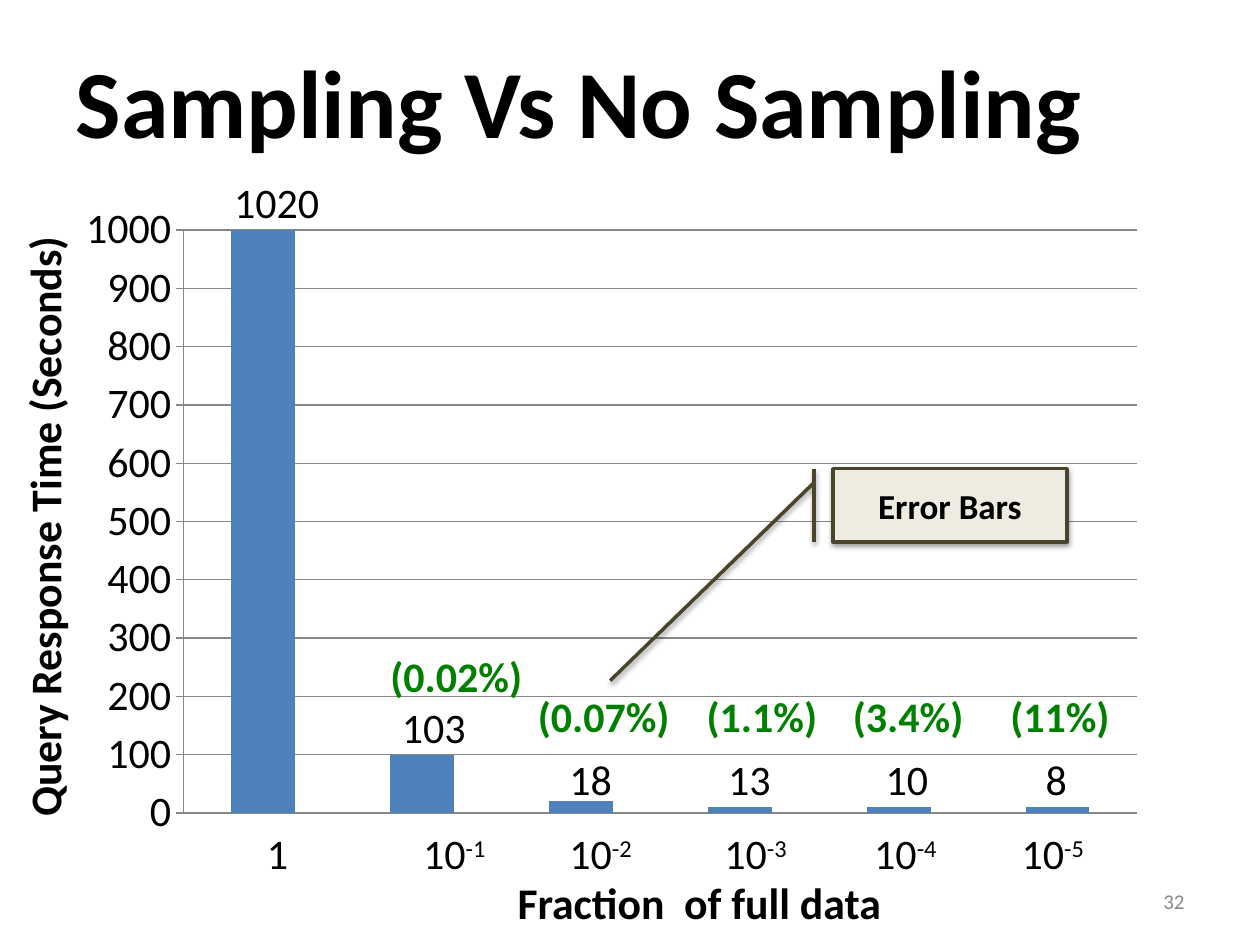
from lxml import etree
from pptx import Presentation
from pptx.chart.data import CategoryChartData
from pptx.dml.color import RGBColor
from pptx.enum.chart import XL_CHART_TYPE as ChartType, XL_TICK_MARK as Tick
from pptx.enum.shapes import MSO_SHAPE as Shape
from pptx.enum.text import MSO_ANCHOR as Anchor, MSO_AUTO_SIZE as AutoSize, PP_ALIGN as Align
from pptx.oxml import parse_xml
from pptx.oxml.ns import nsdecls, qn
from pptx.util import Inches, Pt

COLORS = {"text": "000000", "error": "008000", "bar": "4F81BD", "grid": "878787",
          "callout": "EEECE1", "edge": "4A452A", "number": "898989"}
FONT = "Calibri"
LABEL_HEIGHT = 0.5

# Content: rounded bar heights, and the response times written above them
BAR_TIMES = [1020, 100, 20, 10, 10, 10]
# text, left, top, width
TIME_LABELS = [("1020", 1.76, 1.35, 0.88), ("103", 3.09, 5.52, 0.71),
               ("18", 4.42, 5.93, 0.54), ("13", 5.68, 5.93, 0.54),
               ("10", 6.93, 5.93, 0.54), ("8", 8.2, 5.93, 0.37)]
# exponent of ten, left
FRACTIONS = [("-1", 3.26), ("-2", 4.42), ("-3", 5.65), ("-4", 6.84), ("-5", 8.01)]
FIRST_ERROR = ("(0.02%)", 3, 5.11, 1.26)
# text, left, width
OTHER_ERRORS = [("(0.07%)", 4.17, 1.26), ("(1.1%)", 5.51, 1.09),
                ("(3.4%)", 6.67, 1.09), ("(11%)", 7.92, 1)]
CHART_BOX = (0.5, 1.51, 8.7, 5.26)
PLOT_AREA = {"x": 0.11, "y": 0.06, "w": 0.87, "h": 0.88}
CALLOUT_POINTS = [0.19, -0.08, 2.9, -0.95]


def rgb(name):
    return RGBColor.from_string(COLORS[name])


def style(font, size, color="text", bold=False):
    for key, value in {"name": FONT, "size": Pt(size), "bold": bold}.items():
        setattr(font, key, value)
    font.color.rgb = rgb(color)


def write(shape, text, size, color="text", bold=False, align=None, superscript=None):
    paragraph = shape.text_frame.paragraphs[0]
    paragraph.alignment = align
    for part in filter(None, (text, superscript)):
        run = paragraph.add_run()
        run.text = part
        style(run.font, size, color, bold)
    if superscript:
        run.font._element.set("baseline", "30000")


def label(shapes, text, box, size=24, wrap=False, grow=True, **look):
    textbox = shapes.add_textbox(*map(Inches, box))
    frame = textbox.text_frame
    frame.word_wrap = wrap
    frame.auto_size = AutoSize.SHAPE_TO_FIT_TEXT if grow else AutoSize.NONE
    write(textbox, text, size, **look)
    return textbox


prs = Presentation()
prs.slide_width, prs.slide_height = Inches(10), Inches(7.5)
slide = prs.slides.add_slide(prs.slide_layouts[5])
shapes = slide.shapes

# Title
title = shapes.title
title.left, title.top, title.width, title.height = map(Inches, (0.5, 0.17, 9, 1.25))
title.text_frame.vertical_anchor = Anchor.MIDDLE
write(title, "Sampling Vs No Sampling", 55, bold=True, align=Align.LEFT)

# Bar chart
data = CategoryChartData()
data.categories = [str(n) for n in range(1, len(BAR_TIMES) + 1)]
data.add_series("Series 1", BAR_TIMES)
chart = shapes.add_chart(ChartType.COLUMN_STACKED, *map(Inches, CHART_BOX), data).chart
chart.has_legend = chart.has_title = False
style(chart.font, 10)
plot = chart.plots[0]
for key, value in {"gap_width": 150, "overlap": 100, "vary_by_categories": False}.items():
    setattr(plot, key, value)
bars = plot.series[0].format.fill
bars.solid()
bars.fore_color.rgb = rgb("bar")

chart.category_axis.visible = False
seconds = chart.value_axis
for key, value in {"minimum_scale": 0, "maximum_scale": 1000, "major_unit": 100,
                   "has_major_gridlines": True, "major_tick_mark": Tick.OUTSIDE,
                   "minor_tick_mark": Tick.NONE}.items():
    setattr(seconds, key, value)
style(seconds.tick_labels.font, 24)
for line in (seconds.format.line, seconds.major_gridlines.format.line):
    line.color.rgb = rgb("grid")
    line.width = Pt(0.75)

# Fixed inner plot area, so that the labels meet the bars
plot_area = chart._chartSpace.chart.plotArea
for old in plot_area.findall(qn("c:layout")):
    plot_area.remove(old)
layout = parse_xml(f"<c:layout {nsdecls('c')}><c:manualLayout/></c:layout>")
settings = {"layoutTarget": "inner", "xMode": "edge", "yMode": "edge", **PLOT_AREA}
for tag, value in settings.items():
    etree.SubElement(layout[0], qn(f"c:{tag}")).set("val", str(value))
plot_area.insert(0, layout)

# Category labels
label(shapes, "1", (2.02, 6.52, 0.37, LABEL_HEIGHT))
for exponent, left in FRACTIONS:
    label(shapes, "10", (left, 6.52, 0.73, LABEL_HEIGHT), superscript=exponent)

# Axis titles
label(shapes, "Fraction  of full data", (3.57, 6.9, 3.96, 0.52), 25, wrap=True,
      bold=True, align=Align.CENTER)
time_title = label(shapes, "Query Response Time (Seconds)", (-2.08, 3.89, 4.86, 0.52), 25,
                   bold=True)
time_title.rotation = 270

# Response times above the bars
for time, *place in TIME_LABELS:
    label(shapes, time, (*place, LABEL_HEIGHT))

# Error percentages
text, *place = FIRST_ERROR
label(shapes, text, (*place, LABEL_HEIGHT), color="error", bold=True)
errors = shapes.add_group_shape()
for text, left, width in OTHER_ERRORS:
    label(errors.shapes, text, (left, 5.43, width, LABEL_HEIGHT), color="error", bold=True)

# Callout with a soft shadow
callout = shapes.add_shape(Shape.LINE_CALLOUT_1_BORDER_AND_ACCENT_BAR,
                           *map(Inches, (6.61, 3.72, 1.86, 0.58)))
for index, value in enumerate(CALLOUT_POINTS):
    callout.adjustments[index] = value
callout.fill.solid()
callout.fill.fore_color.rgb = rgb("callout")
callout.line.color.rgb = rgb("edge")
callout.line.width = Pt(2)
callout.shadow.inherit = False
effects = callout._element.spPr.find(qn("a:effectLst"))
effects.append(parse_xml(
    f'<a:outerShdw {nsdecls("a")} blurRad="{Pt(3.1)}" dist="{Pt(1.6)}" dir="5400000" '
    f'rotWithShape="0"><a:srgbClr val="{COLORS["text"]}"><a:alpha val="38000"/>'
    '</a:srgbClr></a:outerShdw>'))
callout.text_frame.vertical_anchor = Anchor.MIDDLE
write(callout, "Error Bars", 20, bold=True, align=Align.CENTER)

# Slide number
number = label(shapes, "32", (7.17, 6.95, 2.33, 0.4), 12, wrap=True, grow=False,
               color="number", align=Align.RIGHT)
number.text_frame.vertical_anchor = Anchor.MIDDLE

prs.save("out.pptx")
